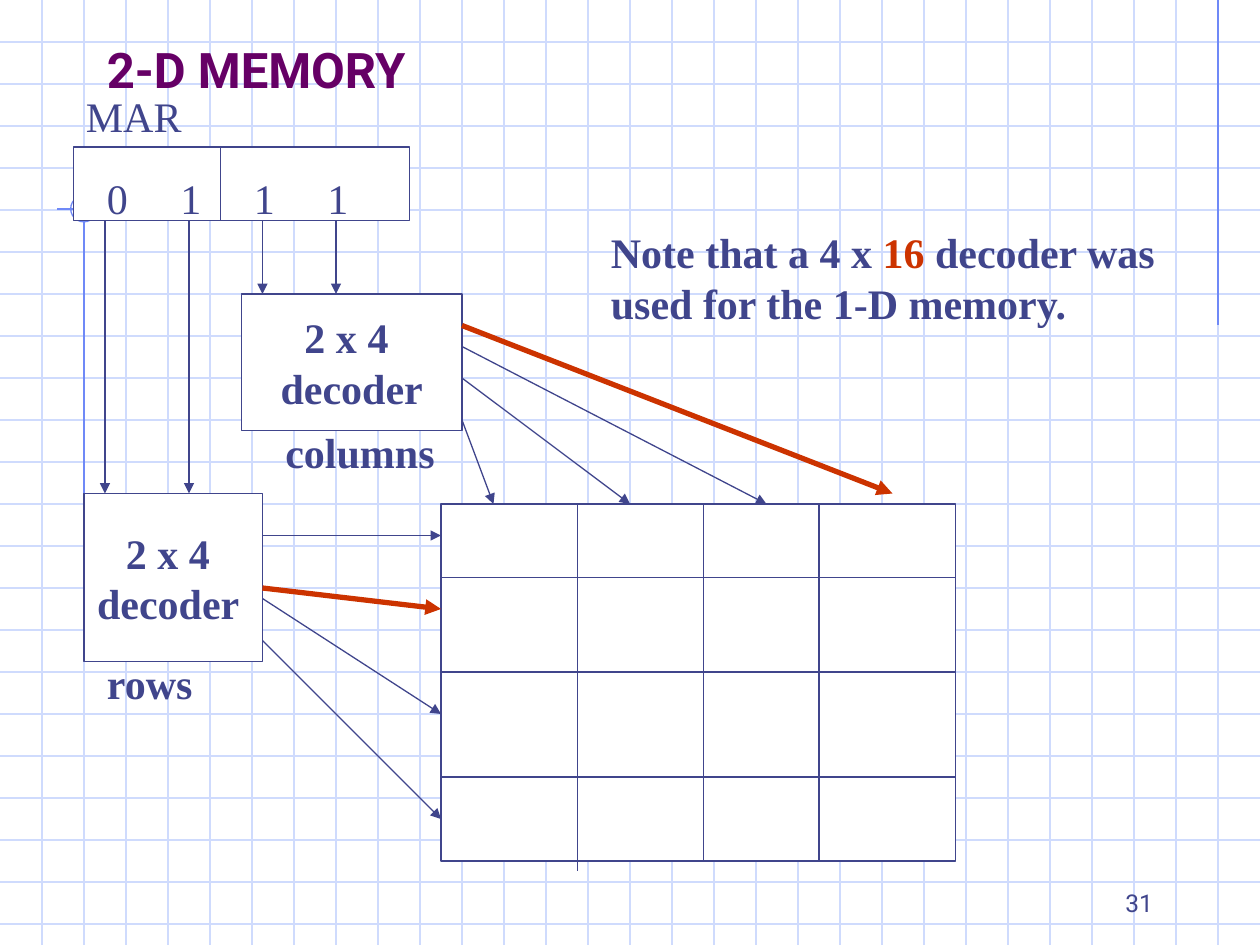
from dataclasses import dataclass

import pptx
import pptx.dml.color
import pptx.enum.shapes
import pptx.enum.text
import pptx.oxml
import pptx.oxml.ns
import pptx.util

Pt = pptx.util.Pt
ALIGN = pptx.enum.text.PP_ALIGN
ANCHOR = pptx.enum.text.MSO_ANCHOR
SHAPE = pptx.enum.shapes.MSO_SHAPE

COLORS = {
    "ink": "40458C",
    "active": "CC3300",
    "title": "660066",
    "grid": "CFDBFD",
    "accent": "6F89F7",
    "white": "FFFFFF",
}
SERIF = "Times New Roman"
SANS = "Roboto"
WIDTH, HEIGHT, GRID_STEP = 720, 540, 24


@dataclass
class Line:
    x1: float
    y1: float
    x2: float
    y2: float
    color: str = "ink"
    weight: float = 0.75
    arrow: bool = False


@dataclass
class Box:
    left: float
    top: float
    width: float
    height: float


@dataclass
class Text:
    """Each paragraph is a list of (words, color) runs."""
    paragraphs: list
    font: str = SERIF
    size: float = 24
    bold: bool = True
    align: ALIGN = ALIGN.LEFT
    anchor: ANCHOR = ANCHOR.TOP
    wrap: bool = True
    tab_stops: tuple = ()


def rgb(name: str) -> pptx.dml.color.RGBColor:
    return pptx.dml.color.RGBColor.from_string(COLORS[name])


def draw_line(slide, line: Line) -> None:
    connector = slide.shapes.add_connector(
        pptx.enum.shapes.MSO_CONNECTOR.STRAIGHT,
        Pt(line.x1), Pt(line.y1), Pt(line.x2), Pt(line.y2))
    connector.line.color.rgb = rgb(line.color)
    connector.line.width = Pt(line.weight)
    if line.arrow:
        head = pptx.oxml.ns.qn("a:tailEnd")
        connector.line._get_or_add_ln().makeelement(head)
        tail = pptx.oxml.parse_xml(
            f'<a:tailEnd {pptx.oxml.ns.nsdecls("a")} type="triangle"/>')
        connector.line._get_or_add_ln().append(tail)
    connector._element.spPr.append(pptx.oxml.parse_xml(
        f'<a:effectLst {pptx.oxml.ns.nsdecls("a")}/>'))


def draw_shape(slide, kind: SHAPE, box: Box, line: str, filled: bool = True):
    shape = slide.shapes.add_shape(
        kind, Pt(box.left), Pt(box.top), Pt(box.width), Pt(box.height))
    shape.shadow.inherit = False
    if filled:
        shape.fill.solid()
        shape.fill.fore_color.rgb = rgb("white")
    else:
        shape.fill.background()
    shape.line.color.rgb = rgb(line)
    shape.line.width = Pt(0.75)
    return shape


def add_tab_stops(paragraph, stops: tuple) -> None:
    tabs = "".join(f'<a:tab pos="{Pt(stop)}" algn="l"/>' for stop in stops)
    paragraph._p.get_or_add_pPr().append(pptx.oxml.parse_xml(
        f'<a:tabLst {pptx.oxml.ns.nsdecls("a")}>{tabs}</a:tabLst>'))


def write(shape, text: Text) -> None:
    frame = shape.text_frame
    frame.word_wrap = text.wrap
    frame.vertical_anchor = text.anchor
    for index, runs in enumerate(text.paragraphs):
        paragraph = frame.add_paragraph() if index else frame.paragraphs[0]
        if text.tab_stops:
            add_tab_stops(paragraph, text.tab_stops)
        paragraph.alignment = text.align
        for words, color in runs:
            run = paragraph.add_run()
            run.text = words
            run.font.name = text.font
            run.font.size = Pt(text.size)
            run.font.bold = text.bold
            run.font.color.rgb = rgb(color)


def draw_text(slide, box: Box, text: Text) -> None:
    write(slide.shapes.add_textbox(
        Pt(box.left), Pt(box.top), Pt(box.width), Pt(box.height)), text)


def draw_background(slide) -> None:
    for y in range(GRID_STEP, HEIGHT, GRID_STEP):
        draw_line(slide, Line(0, y, WIDTH, y, "grid"))
    for x in range(GRID_STEP, WIDTH, GRID_STEP):
        draw_line(slide, Line(x, 0, x, HEIGHT, "grid"))
    draw_line(slide, Line(696, 0, 696, 186, "accent"))
    draw_line(slide, Line(172.8, 119.5, 32.4, 119.5, "accent"))
    draw_line(slide, Line(48, 111.6, 48, 294.5, "accent"))
    draw_shape(slide, SHAPE.OVAL, Box(40.4, 111.8, 15, 15), "accent", filled=False)


def draw_memory(slide) -> None:
    left, top, right, bottom = 252, 288, 546, 492
    draw_shape(slide, SHAPE.RECTANGLE,
               Box(left, top, right - left, bottom - top), "ink")
    for y in (330, 384, 444):
        draw_line(slide, Line(left, y, right, y))
    for x, end in ((330, bottom + 6), (402, bottom), (468, bottom)):
        draw_line(slide, Line(x, top, x, end))


def draw_address_register(slide) -> None:
    draw_shape(slide, SHAPE.RECTANGLE, Box(42, 84, 192, 42), "ink")
    draw_line(slide, Line(126, 84, 126, 126))
    draw_text(slide, Box(54, 95, 174, 36),
              Text([[("0\t1\t1\t1", "ink")]], bold=False, tab_stops=(42, 84, 126)))
    draw_text(slide, Box(42, 48, 78, 36), Text([[("MAR", "ink")]], bold=False))


def draw_decoder(slide, box: Box, lines: tuple) -> None:
    shape = draw_shape(slide, SHAPE.RECTANGLE, box, "ink")
    write(shape, Text([[(words, "ink")] for words in lines], align=ALIGN.CENTER,
                      anchor=ANCHOR.MIDDLE, wrap=False))


def draw_arrows(slide) -> None:
    # Address bits into the row decoder, then the column decoder
    arrows = [Line(x, 126, x, 282) for x in (60, 108)]
    arrows += [Line(x, 126, x, 168) for x in (150, 192)]
    # Row decoder outputs
    arrows += [Line(150, start, 252, end)
               for start, end in ((306, 306), (342, 408), (366, 468))]
    # Column decoder outputs
    arrows += [Line(264, start, end, 288)
               for start, end in ((240, 282), (216, 360), (198, 438))]
    # Selected row and column
    arrows += [Line(150, 336, 252, 348, "active", 3),
               Line(264, 186, 510, 282, "active", 3)]
    for arrow in arrows:
        arrow.arrow = True
        draw_line(slide, arrow)


def main() -> None:
    presentation = pptx.Presentation()
    presentation.slide_width, presentation.slide_height = Pt(WIDTH), Pt(HEIGHT)
    slide = presentation.slides.add_slide(presentation.slide_layouts[6])

    draw_background(slide)
    draw_text(slide, Box(54, 18, 612, 42),
              Text([[("2-D MEMORY", "title")]], SANS, 28, anchor=ANCHOR.BOTTOM))
    draw_memory(slide)
    draw_address_register(slide)
    draw_decoder(slide, Box(48, 282, 102, 96), ("2 x 4 ", "decoder "))
    draw_decoder(slide, Box(138, 168, 126, 78), ("2 x 4 ", "decoder"))
    draw_arrows(slide)

    # Labels and note
    draw_text(slide, Box(156, 240, 114, 36), Text([[("columns", "ink")]]))
    draw_text(slide, Box(54, 372, 96, 36), Text([[("rows", "ink")]]))
    draw_text(slide, Box(342, 126, 336, 65), Text([[
        ("Note that a 4 x ", "ink"), ("16 ", "active"),
        ("decoder was used for the 1-D memory.", "ink")]]))

    # Page number
    draw_text(slide, Box(516, 492, 150, 36),
              Text([[("31", "ink")]], SANS, 14, False, ALIGN.RIGHT, ANCHOR.BOTTOM))
    presentation.save("out.pptx")


if __name__ == "__main__":
    main()
